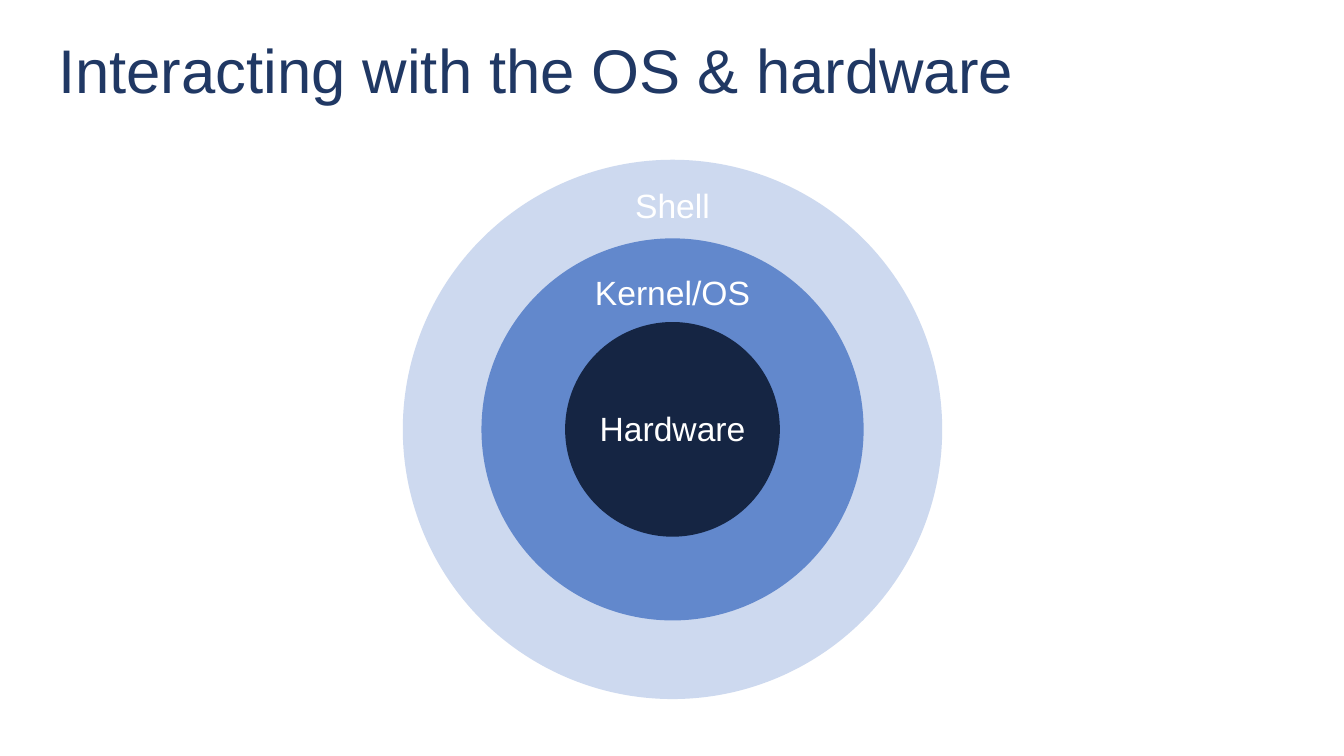
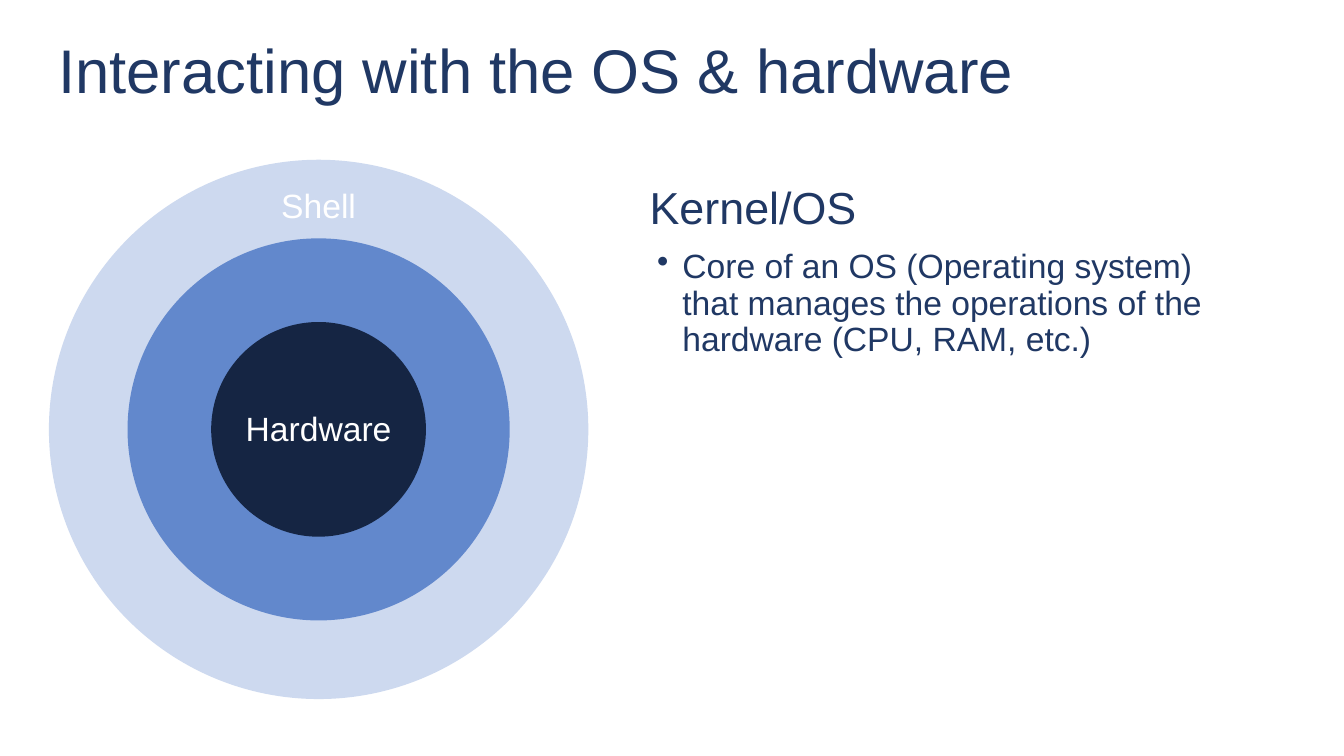
from pptx import Presentation
from pptx.dml.color import RGBColor
from pptx.enum.shapes import MSO_SHAPE
from pptx.enum.text import MSO_ANCHOR, PP_ALIGN
from pptx.oxml.ns import qn
from pptx.util import Inches, Pt
from lxml import etree

INK = {"navy": "203864", "white": "FFFFFF", "shell": "CDD9EF",
       "kernel": "6288CC", "core": "152543"}
FONT = "Arial"
TITLE = "Interacting with the OS & hardware"
MID_Y = 4.26
RINGS = [(5.35, "shell"), (3.79, "kernel"), (2.13, "core")]
# Label text, top and width
SHELL = ("Shell", 1.79, 1.49)
KERNEL = ("Kernel/OS", 2.65, 2.7)
CORE = ("Hardware", 4, 2.7)


def add_text(slide, text, x, y, w, h, size, tint, align=PP_ALIGN.LEFT):
    box = slide.shapes.add_textbox(Inches(x), Inches(y), Inches(w), Inches(h))
    box.text_frame.word_wrap = True
    para = box.text_frame.paragraphs[0]
    para.text = text
    para.alignment = align
    para.font.name = FONT
    para.font.size = Pt(size)
    para.font.color.rgb = RGBColor.from_string(INK[tint])
    return box.text_frame, para


deck = Presentation()
deck.slide_width = Inches(13.33)
deck.slide_height = Inches(7.5)

# Title, rings and ring labels on both slides
for mid_x, labels in [(6.67, [SHELL, KERNEL, CORE]), (3.16, [SHELL, CORE])]:
    slide = deck.slides.add_slide(deck.slide_layouts[6])
    frame, para = add_text(slide, TITLE, 0.48, 0, 11.5, 1.45, 44, "navy")
    frame.vertical_anchor = MSO_ANCHOR.MIDDLE
    para.line_spacing = 0.9

    for size, tint in RINGS:
        ring = slide.shapes.add_shape(
            MSO_SHAPE.OVAL, Inches(mid_x - size / 2), Inches(MID_Y - size / 2),
            Inches(size), Inches(size))
        ring.shadow.inherit = False
        ring.fill.solid()
        ring.fill.fore_color.rgb = RGBColor.from_string(INK[tint])
        ring.line.fill.background()

    for text, top, wide in labels:
        add_text(slide, text, mid_x - wide / 2, top, wide, 0.5, 24, "white",
                 PP_ALIGN.CENTER)

# Kernel notes on the last slide
add_text(slide, "Kernel/OS", 6.12, 1.73, 2.7, 0.64, 32, "navy", PP_ALIGN.CENTER)
frame, para = add_text(
    slide, "Core of an OS (Operating system) that manages the operations "
    "of the hardware (CPU, RAM, etc.)", 6.42, 2.43, 6, 4.32, 24, "navy")
para.line_spacing = 0.9
para.space_before = Pt(10)

# Bullet with hanging indent
props = para._p.get_or_add_pPr()
props.set("marL", str(Inches(0.25)))
props.set("indent", str(Inches(-0.25)))
mark = etree.Element(qn("a:buChar"), char="•")
props.insert_element_before(mark, "a:tabLst", "a:defRPr", "a:extLst")

deck.save("out.pptx")
